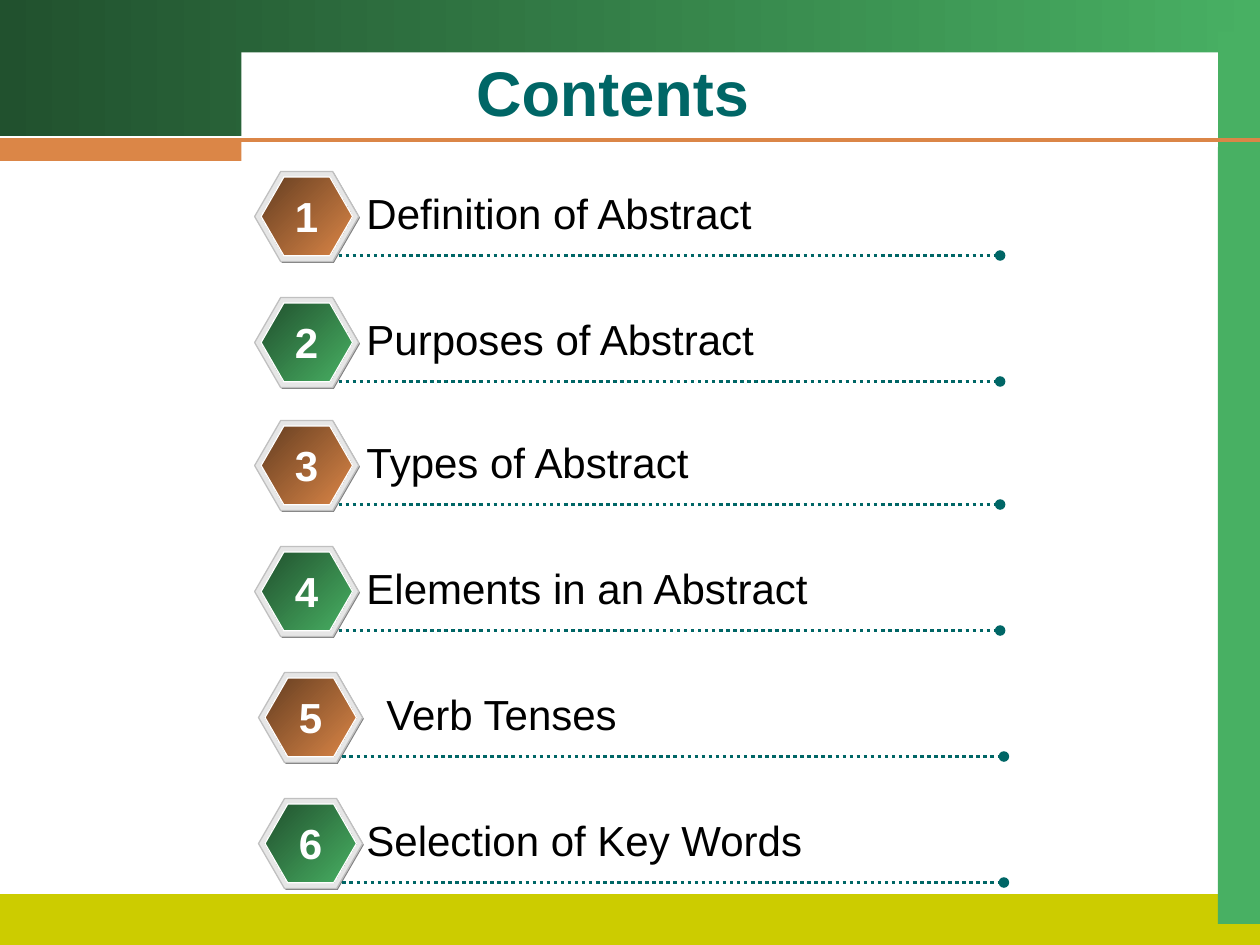
from lxml import etree
from pptx import Presentation
from pptx import util as u
from pptx.dml.color import RGBColor
from pptx.enum import dml, shapes, text
from pptx.oxml import ns

Pt = u.Pt
C = {
    "dark_green": "21512E", "green": "48B063", "brown": "653E21", "orange": "DB8647",
    "olive": "CCCC00", "teal": "006666", "white": "FFFFFF", "black": "000000",
    "shade": "808080", "rim": "E6E6E6", "rim_line": "C0C0C0",
}
RECT, HEX = shapes.MSO_SHAPE.RECTANGLE, shapes.MSO_SHAPE.HEXAGON


def add_text(parent, words, box, size=24, color="black", bold=False,
             align=text.PP_ALIGN.LEFT, anchor=text.MSO_ANCHOR.TOP, wrap=True):
    tf = parent.add_textbox(*map(Pt, box)).text_frame
    tf.word_wrap = wrap
    tf.vertical_anchor = anchor
    p = tf.paragraphs[0]
    p.alignment = align
    r = p.add_run()
    r.text = words
    r.font.name, r.font.size, r.font.bold = "Arial", Pt(size), bold
    r.font.color.rgb = RGBColor.from_string(C[color])


def add_box(parent, kind, box, fill, line=None, angle=0):
    """A pair of colour names as fill gives a gradient, angle running clockwise."""
    sp = parent.add_shape(kind, *map(Pt, box))
    sp.shadow.inherit = False
    if isinstance(fill, tuple):
        sp.fill.gradient()
        sp.fill.gradient_angle = (360 - angle) % 360
        for stop, name in zip(sp.fill.gradient_stops, fill):
            stop.color.rgb = RGBColor.from_string(C[name])
    else:
        sp.fill.solid()
        sp.fill.fore_color.rgb = RGBColor.from_string(C[fill])
    if line:
        sp.line.color.rgb = RGBColor.from_string(C[line])
        sp.line.width = Pt(0.75)
    else:
        sp.line.fill.background()
    if kind == HEX:
        sp.adjustments[0] = 0.289


prs = Presentation()
prs.slide_width, prs.slide_height = Pt(720), Pt(540)
s = prs.slides.add_slide(prs.slide_layouts[6])

# Frame bands and the white title panel
for box, fill in [
    ((0, 0, 720, 77.8), ("dark_green", "green")),
    ((0, 511, 720, 30), "olive"),
    ((696, 18, 24, 510), "green"),
    ((138, 30, 558, 54), "white"),
    ((0, 79.5, 138, 12.5), "orange"),
]:
    add_box(s.shapes, RECT, box, fill)

# Each rule: parent, left, right, y, colour, width, dotted
rules = [(s.shapes, 0, 720, 80, "orange", 2.25, False)]

# Title
add_text(s.shapes, "Contents", (208, 28, 284, 48), size=36, color="teal", bold=True,
         align=text.PP_ALIGN.CENTER, anchor=text.MSO_ANCHOR.MIDDLE)

# Contents entries: label, top, badge left, label left
entries = [
    ("Definition of Abstract", 98, 145.5, 202.3),
    ("Purposes of Abstract", 170, 145.5, 202.3),
    ("Types of Abstract", 240.3, 145.5, 202.3),
    ("Elements in an Abstract", 312.3, 145.5, 202.3),
    ("Verb Tenses", 384.3, 147.7, 213.7),
    ("Selection of Key Words", 456.3, 147.7, 202.3),
]
for number, (label, top, left, label_left) in enumerate(entries, 1):
    row = s.shapes.add_group_shape().shapes
    face = ("brown", "orange") if number % 2 else ("dark_green", "green")
    add_box(row, HEX, (left + 0.7, top + 0.7, 59.5, 51.5), "shade")
    add_box(row, HEX, (left, top, 59.5, 51.5), "rim", line="rim_line")
    add_box(row, HEX, (left + 3.7, top + 3.2, 52.3, 45), face, line="white", angle=45)
    rules.append((row, left + 48, left + 426, top + 48, "teal", 2, True))
    add_text(row, label, (label_left, top + 5.8, 370, 36))
    add_text(row, str(number), (left + 16, top + 7.5, 27.5, 36), color="white",
             bold=True, align=text.PP_ALIGN.CENTER, wrap=False)

# Title rule and dotted entry rules with a round end
for parent, x1, x2, y, color, width, dotted in rules:
    ln = parent.add_connector(shapes.MSO_CONNECTOR.STRAIGHT, Pt(x1), Pt(y), Pt(x2), Pt(y))
    ln.line.color.rgb = RGBColor.from_string(C[color])
    ln.line.width = Pt(width)
    if dotted:
        ln.line.dash_style = dml.MSO_LINE.ROUND_DOT
        etree.SubElement(ln.line._get_or_add_ln(), ns.qn("a:tailEnd"), type="oval")
    etree.SubElement(ln._element.spPr, ns.qn("a:effectLst"))

prs.save("out.pptx")
